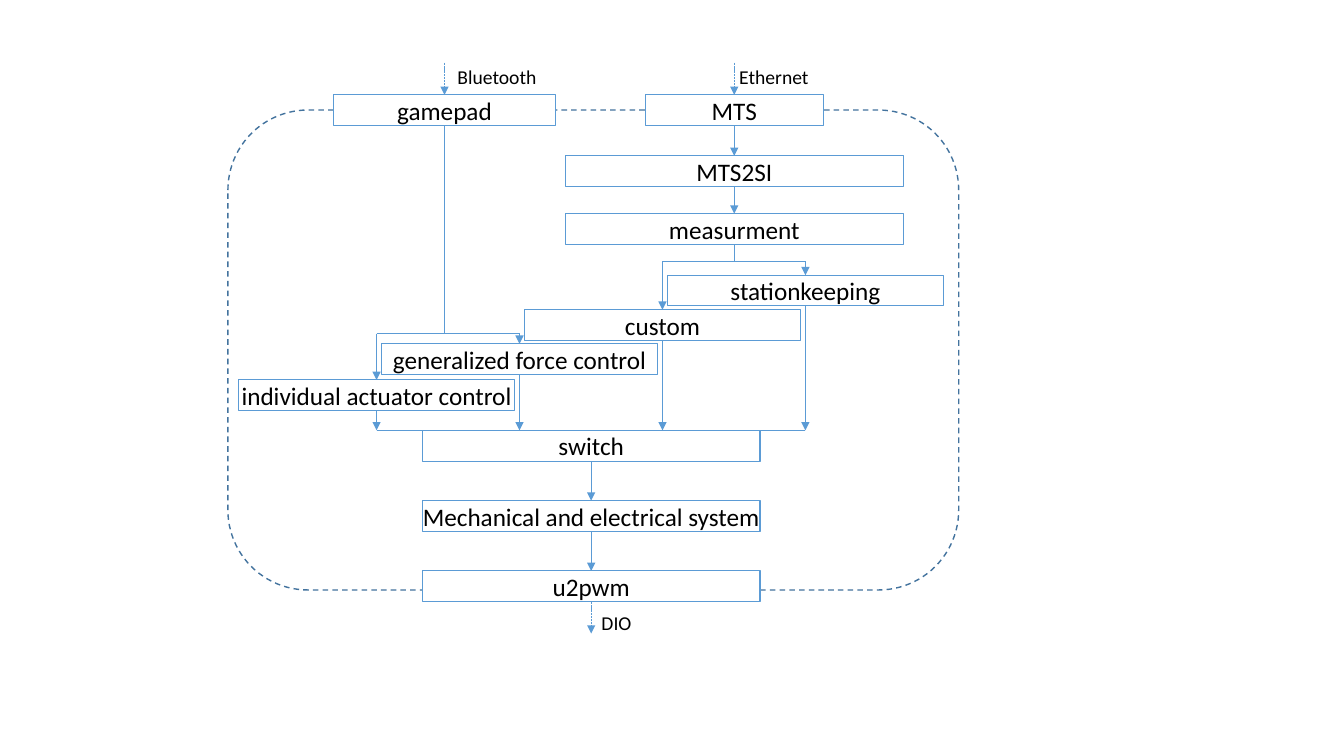
from pptx import Presentation
from pptx.dml.color import RGBColor
from pptx.enum.dml import MSO_LINE as Dash
from pptx.enum.shapes import MSO_CONNECTOR as Conn, MSO_SHAPE as Shape
from pptx.enum.text import MSO_ANCHOR as Anchor, PP_ALIGN as Align
from pptx.oxml.ns import qn
from pptx.util import Pt
from lxml.etree import SubElement

BLUE = RGBColor(0x5B, 0x9B, 0xD5)
DARK_BLUE = RGBColor(0x43, 0x73, 0x9E)
WHITE = RGBColor(0xFF, 0xFF, 0xFF)
BLACK = RGBColor(0, 0, 0)
BOX_H = 22


class Diagram:
    frame_format = {"word_wrap": False, "vertical_anchor": Anchor.MIDDLE,
                    "margin_left": 0, "margin_right": 0,
                    "margin_top": 0, "margin_bottom": 0}

    def __init__(self, slide):
        self.shapes = slide.shapes

    def add_text(self, sp, text, size):
        tf = sp.text_frame
        for name, value in self.frame_format.items():
            setattr(tf, name, value)
        p = tf.paragraphs[0]
        p.alignment = Align.CENTER
        r = p.add_run()
        r.text = text
        for name, value in {"name": "Calibri", "size": Pt(size)}.items():
            setattr(r.font, name, value)
        r.font.color.rgb = BLACK

    def outline(self, kind, x, y, w, h, color, width, fill=None, dash=None):
        sp = self.shapes.add_shape(kind, Pt(x), Pt(y), Pt(w), Pt(h))
        sp.shadow.inherit = False
        if fill is None:
            sp.fill.background()
        else:
            sp.fill.solid()
            sp.fill.fore_color.rgb = fill
        sp.line.color.rgb = color
        for name, value in {"width": Pt(width), "dash_style": dash}.items():
            setattr(sp.line, name, value)
        return sp

    def box(self, text, center, top, width, fill=None):
        sp = self.outline(Shape.RECTANGLE, center - width / 2, top, width,
                          BOX_H, BLUE, 0.75, fill)
        self.add_text(sp, text, 18)

    def label(self, text, center, top, width):
        sp = self.shapes.add_textbox(Pt(center - width / 2), Pt(top), Pt(width), Pt(17))
        self.add_text(sp, text, 14)

    def line(self, x1, y1, x2, y2, arrow=False, dash=None):
        s = self.shapes.add_connector(Conn.STRAIGHT, Pt(x1), Pt(y1), Pt(x2), Pt(y2))
        s.line.color.rgb = BLUE
        for name, value in {"width": Pt(0.5), "dash_style": dash}.items():
            setattr(s.line, name, value)
        if arrow:
            ln = s._element.spPr.find(qn("a:ln"))
            SubElement(ln, qn("a:tailEnd"), type="triangle")
        SubElement(s._element.spPr, qn("a:effectLst"))

    def down(self, x, top, bottom, dash=None):
        self.line(x, top, x, bottom, True, dash)


prs = Presentation()
prs.slide_width, prs.slide_height = Pt(960), Pt(540)
d = Diagram(prs.slides.add_slide(prs.slide_layouts[6]))

# Column centres and row tops
PAD_X, TRACK_X, OUT_X = 317.5, 524.5, 422.3
BRANCH_X = [269 + 102.1 * i for i in range(4)]
INPUT_Y = 67.8
TRACK_Y = [INPUT_Y, 111.4, 152.6]
BRANCH_Y = [271.4, 245.6, 221.2, 196.6]
OUT_Y = [307.4 + 50.2 * i for i in range(3)]
WIDE, BRANCH_W = 241.2, 196.8
TRACK_BUS, PAD_BUS = 186.6, 238.3

# System boundary
d.outline(Shape.ROUNDED_RECTANGLE, 162.8, 78.6, 522, 342.8, DARK_BLUE, 1, dash=Dash.DASH)

# Boxes
d.box("gamepad", PAD_X, INPUT_Y, 158.6, WHITE)
for text, top, width, fill in zip(("MTS", "MTS2SI", "measurment"), TRACK_Y,
                                  (127.4, WIDE, WIDE), (WHITE, None, None)):
    d.box(text, TRACK_X, top, width, fill)
branches = ("individual actuator control", "generalized force control",
            "custom", "stationkeeping")
for text, x, top in zip(branches, BRANCH_X, BRANCH_Y):
    d.box(text, x, top, BRANCH_W)
outputs = ("switch", "Mechanical and electrical system", "u2pwm")
for text, top, fill in zip(outputs, OUT_Y, (None, None, WHITE)):
    d.box(text, OUT_X, top, WIDE, fill)

# Arrows down each chain
for x, tops in ((TRACK_X, TRACK_Y), (OUT_X, OUT_Y)):
    for upper, lower in zip(tops, tops[1:]):
        d.down(x, upper + BOX_H, lower)

# Each source splits into two branches
for x, top, bus, pair in ((PAD_X, INPUT_Y, PAD_BUS, (0, 1)),
                          (TRACK_X, TRACK_Y[-1], TRACK_BUS, (2, 3))):
    d.line(x, top + BOX_H, x, bus)
    d.line(BRANCH_X[pair[0]], bus, BRANCH_X[pair[1]], bus)
    for i in pair:
        d.down(BRANCH_X[i], bus, BRANCH_Y[i])

# Branches meet at the switch
d.line(BRANCH_X[0], OUT_Y[0], BRANCH_X[-1], OUT_Y[0])
for x, top in zip(BRANCH_X, BRANCH_Y):
    d.down(x, top + BOX_H, OUT_Y[0])

# External signals
for x, top, bottom in ((PAD_X, 44.8, INPUT_Y), (TRACK_X, 44.8, INPUT_Y),
                       (OUT_X, OUT_Y[-1] + BOX_H, 452.6)):
    d.down(x, top, bottom, Dash.SQUARE_DOT)
for text, center, top, width in (("Bluetooth", 355, 46.4, 76),
                                 ("Ethernet", 552.8, 46.4, 56),
                                 ("DIO", 440.4, 436.6, 36)):
    d.label(text, center, top, width)

prs.save("out.pptx")
